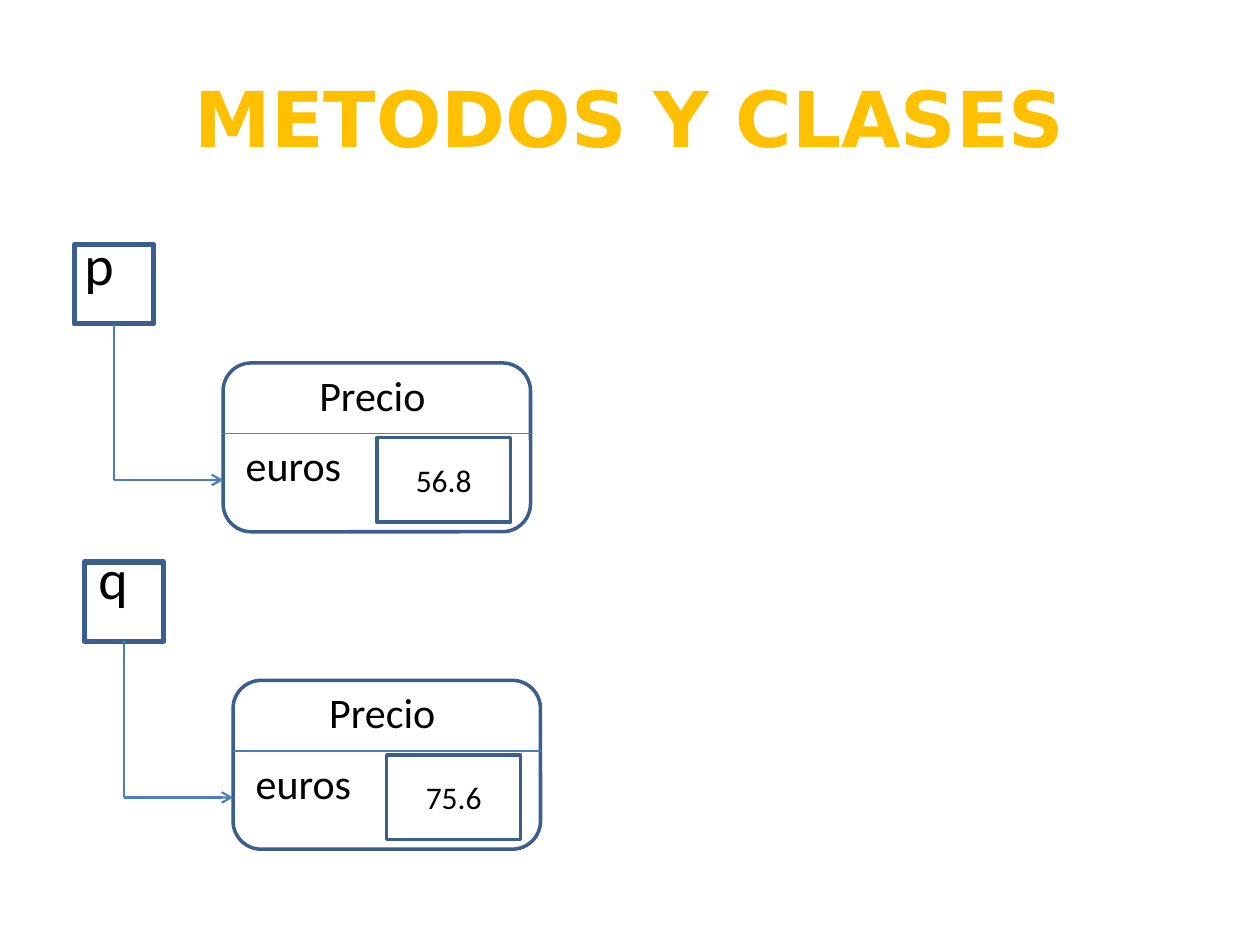
from lxml.etree import SubElement
from pptx import Presentation
from pptx.dml.color import RGBColor
from pptx.enum.shapes import MSO_CONNECTOR, MSO_SHAPE
from pptx.enum.text import MSO_ANCHOR, PP_ALIGN
from pptx.oxml.ns import qn
from pptx.util import Pt

COLORS = {"title": "FFC000", "text": "000000", "border": "3A5F8C", "link": "4B7EBC"}
SQUARE = 45.4
CARD_W, CARD_H = 175.7, 96.5

prs = Presentation()
prs.slide_width, prs.slide_height = Pt(720), Pt(540)
slide = prs.slides.add_slide(prs.slide_layouts[5])


def write(shape, text, size, align=PP_ALIGN.LEFT, anchor=MSO_ANCHOR.TOP):
    frame = shape.text_frame
    frame.word_wrap = True
    frame.vertical_anchor = anchor
    paragraph = frame.paragraphs[0]
    paragraph.text = text
    paragraph.alignment = align
    font = paragraph.runs[0].font
    font.name, font.size = "Calibri", Pt(size)
    font.color.rgb = RGBColor.from_string(COLORS["text"])


def style_line(shape, color, width):
    shape.line.color.rgb = RGBColor.from_string(COLORS[color])
    shape.line.width = Pt(width)


# Title
title = slide.shapes.title
title.left, title.top, title.width, title.height = Pt(36), Pt(21.6), Pt(648), Pt(90)
write(title, "METODOS Y CLASES", 44, PP_ALIGN.CENTER, MSO_ANCHOR.MIDDLE)
title_font = title.text_frame.paragraphs[0].runs[0].font
title_font.name, title_font.bold = "DejaVu Sans", True
title_font.color.rgb = RGBColor.from_string(COLORS["title"])

# Each variable refers to its own Precio object
variables = [
    # name, square left and top, name left and top, value
    ("p", 42.5, 139.7, 48.3, 131.2, "56.8"),
    ("q", 48.2, 321.1, 56.3, 310.7, "75.6"),
]
for name, x, y, name_x, name_y, euros in variables:
    card_x, card_y = x + 85, y + 67.7
    divider_y = y + 108
    reference_x, reference_y = x + SQUARE / 2, y + 134.6

    # Variable name
    name_label = slide.shapes.add_textbox(Pt(name_x), Pt(name_y), Pt(30), Pt(39))
    frame = name_label.text_frame
    frame.margin_left = frame.margin_top = frame.margin_right = frame.margin_bottom = 0
    write(name_label, name, 32)

    # Variable square, object card and value box
    outlines = []
    for kind, left, top, width, height, weight in [
        (MSO_SHAPE.RECTANGLE, x, y, SQUARE, SQUARE, 3),
        (MSO_SHAPE.ROUNDED_RECTANGLE, card_x, card_y, CARD_W, CARD_H, 2),
        (MSO_SHAPE.RECTANGLE, x + 172.8, y + 110.4, 76.5, 48.2, 2),
    ]:
        outline = slide.shapes.add_shape(kind, Pt(left), Pt(top), Pt(width), Pt(height))
        outline.shadow.inherit = False
        outline.fill.background()
        style_line(outline, "border", weight)
        outlines.append(outline)
    variable_square, card, value_box = outlines
    write(value_box, euros, 18, PP_ALIGN.CENTER, MSO_ANCHOR.MIDDLE)

    # Class name and field name
    for text, left, top, width, align in [
        ("Precio", card_x + 28.8, card_y, 113, PP_ALIGN.CENTER),
        ("euros", card_x + 5.8, divider_y, 74.2, PP_ALIGN.LEFT),
    ]:
        label = slide.shapes.add_textbox(Pt(left), Pt(top), Pt(width), Pt(36))
        write(label, text, 24, align)

    # Divider, and the reference going down and then right to the card
    connectors = []
    for x1, y1, x2, y2, weight in [
        (card_x, divider_y, card_x + CARD_W, divider_y, 0.75),
        (reference_x, y + SQUARE, reference_x, reference_y, 0.75),
        (reference_x, reference_y, card_x, reference_y, 1.25),
    ]:
        connector = slide.shapes.add_connector(
            MSO_CONNECTOR.STRAIGHT, Pt(x1), Pt(y1), Pt(x2), Pt(y2))
        style_line(connector, "link", weight)
        SubElement(connector._element.spPr, qn("a:effectLst"))
        connectors.append(connector)
    divider, reference_stem, reference_arrow = connectors
    reference_stem.begin_connect(variable_square, 2)
    SubElement(reference_arrow.line._get_or_add_ln(), qn("a:tailEnd"), type="arrow")

prs.save("out.pptx")
